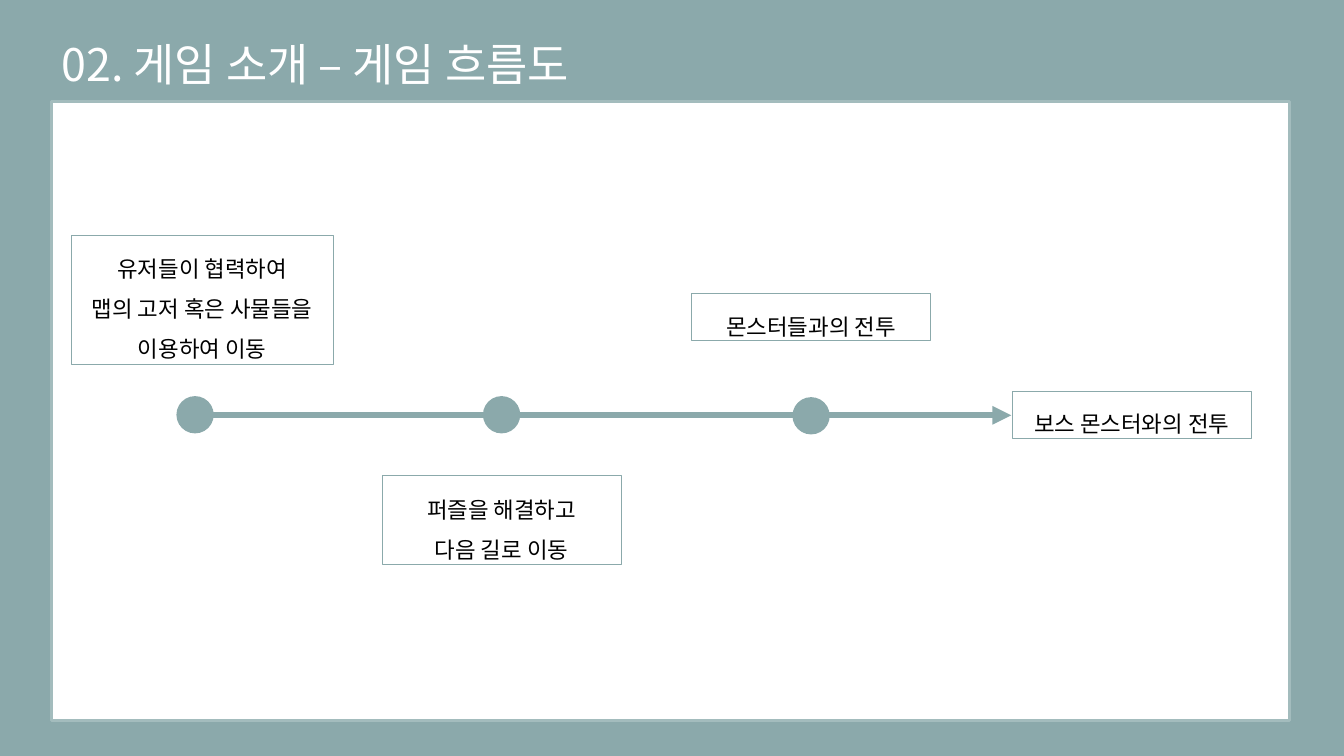
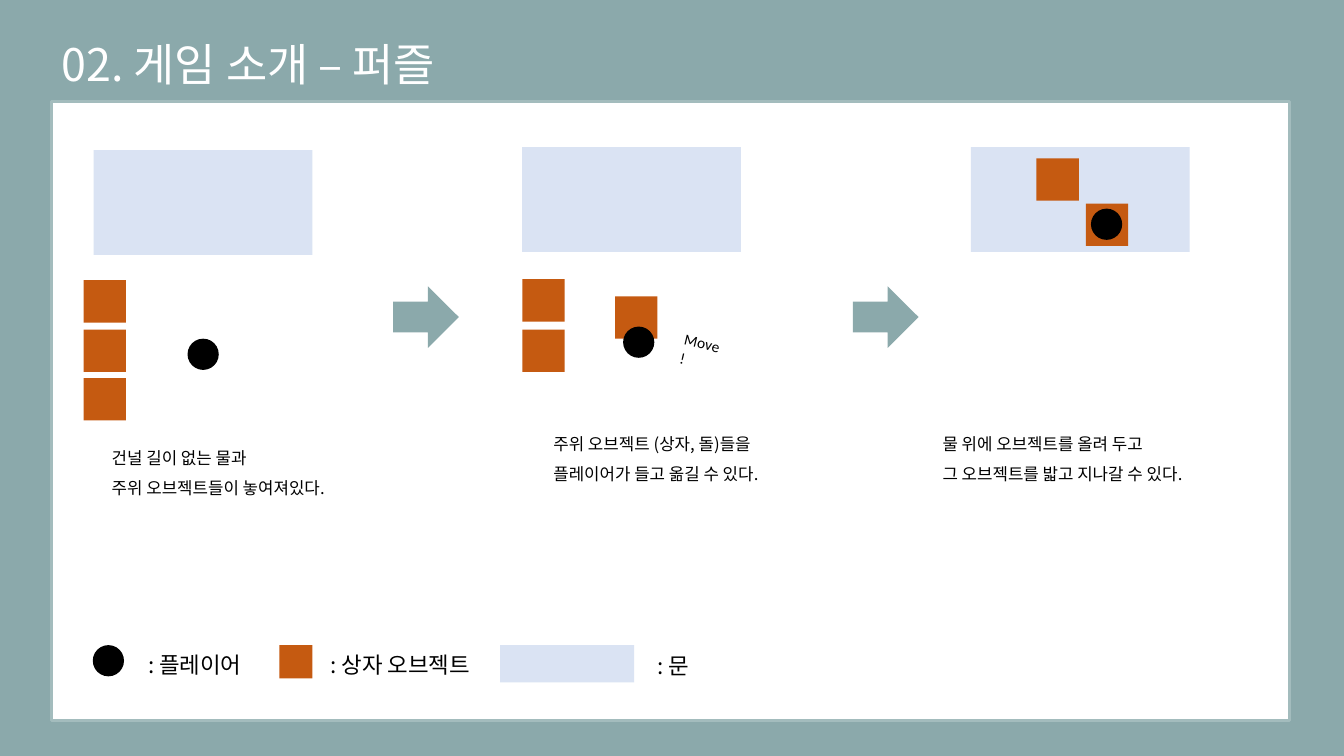
"""Build two game-introduction slides: the game flow and the puzzle."""
from typing import NamedTuple

from lxml.etree import SubElement
from pptx import Presentation
from pptx.dml.color import RGBColor
from pptx.enum.shapes import MSO_CONNECTOR as CONN, MSO_SHAPE as SHAPE
from pptx.enum.text import MSO_ANCHOR as ANCHOR, MSO_AUTO_SIZE as FIT, PP_ALIGN as ALIGN
from pptx.oxml.ns import qn
from pptx.util import Inches, Pt

TEAL, PANEL_EDGE, WHITE, BLACK = "8BA9AB", "A3BCBD", "FFFFFF", "000000"
WATER, CRATE = "DAE3F3", "C55A11"
FONT = "Noto Sans CJK KR"
SINGLE, LOOSE = 1.25, 1.8
CRATE_SIZE, PLAYER_SIZE, DOT_SIZE = 0.42, 0.31, 0.37
POOL_W, POOL_H = 2.17, 1.04
FLOW_Y = 4.12


class Step(NamedTuple):
    x: float
    y: float
    w: float
    h: float
    lines: tuple[str, ...]
    line_width: float = 0.75


class Scene(NamedTuple):
    pool: tuple[float, float]
    crates: tuple[tuple[float, float], ...]
    player: tuple[float, float]
    caption: tuple[float, float, float, float]
    lines: tuple[str, ...]


class Legend(NamedTuple):
    kind: SHAPE
    fill: str
    x: float
    w: float
    h: float
    label: str
    label_x: float
    label_y: float
    label_w: float


STEPS = (
    Step(0.71, 2.33, 2.59, 1.28,
         ("유저들이 협력하여", "맵의 고저 혹은 사물들을", "이용하여 이동"), 0.25),
    Step(6.86, 2.91, 2.37, 0.47, ("몬스터들과의 전투",)),
    Step(3.79, 4.72, 2.37, 0.88, ("퍼즐을 해결하고", "다음 길로 이동")),
    Step(10.04, 3.88, 2.37, 0.47, ("보스 몬스터와의 전투",)),
)
DOTS = ((1.75, 3.93), (4.79, 3.93), (7.86, 3.94))

SCENES = (
    Scene((0.93, 1.49), ((0.83, 2.78), (0.83, 3.27), (0.83, 3.75)), (1.86, 3.36),
          (1.01, 4.24, 2.76, 0.66),
          ("건널 길이 없는 물과", "주위 오브젝트들이 놓여져있다.")),
    Scene((5.18, 1.46), ((5.18, 2.77), (6.1, 2.94), (5.18, 3.27)), (6.18, 3.24),
          (5.39, 4.1, 2.66, 1.08),
          ("주위 오브젝트 (상자, 돌)들을", "플레이어가 들고 옮길 수 있다.")),
    Scene((9.63, 1.46), ((10.28, 1.57), (10.77, 2.02)), (10.82, 2.07),
          (9.25, 4.1, 3.17, 0.82),
          ("물 위에 오브젝트를 올려 두고", "그 오브젝트를 밟고 지나갈 수 있다.")),
)
ARROWS_X = (3.9, 8.46)
LEGENDS = (
    Legend(SHAPE.OVAL, BLACK, 0.92, PLAYER_SIZE, PLAYER_SIZE, ": 플레이어", 1.37, 6.35, 1.33),
    Legend(SHAPE.RECTANGLE, CRATE, 2.77, 0.33, 0.33, ": 상자 오브젝트", 3.18, 6.35, 1.81),
    Legend(SHAPE.RECTANGLE, WATER, 4.96, 1.33, 0.37, ": 문", 6.42, 6.36, 2.69),
)


def rgb(value: str) -> RGBColor:
    return RGBColor.from_string(value)


def write(sp, lines, *, size=16, color=BLACK, font=FONT, align=ALIGN.LEFT,
          anchor=ANCHOR.TOP, spacing=SINGLE, insets=(0.1, 0.1, 0.1, 0.1)) -> None:
    tf = sp.text_frame
    tf.word_wrap, tf.auto_size, tf.vertical_anchor = True, FIT.NONE, anchor
    tf.margin_left, tf.margin_top, tf.margin_right, tf.margin_bottom = map(Inches, insets)
    for i, line in enumerate(lines):
        p = tf.add_paragraph() if i else tf.paragraphs[0]
        p.alignment, p.line_spacing = align, Pt(size * spacing)
        r = p.add_run()
        r.text = line
        r.font.size, r.font.name, r.font.color.rgb = Pt(size), font, rgb(color)
        SubElement(r.font._element, qn("a:ea")).set("typeface", font)


def add_text(s, x: float, y: float, w: float, h: float, lines, **fmt):
    sp = s.shapes.add_textbox(Inches(x), Inches(y), Inches(w), Inches(h))
    write(sp, lines, **fmt)
    return sp


def add_shape(s, kind: SHAPE, x: float, y: float, w: float, h: float,
              fill: str | None = None, line: str | None = None, line_width: float = 0.75):
    sp = s.shapes.add_shape(kind, Inches(x), Inches(y), Inches(w), Inches(h))
    sp.shadow.inherit = False
    if fill:
        sp.fill.solid()
        sp.fill.fore_color.rgb = rgb(fill)
    else:
        sp.fill.background()
    if line:
        sp.line.color.rgb, sp.line.width = rgb(line), Pt(line_width)
    else:
        sp.line.fill.background()
    return sp


def add_flow_arrow(s, x1: float, x2: float, y: float) -> None:
    cn = s.shapes.add_connector(CONN.STRAIGHT, Inches(x1), Inches(y), Inches(x2), Inches(y))
    cn.line.color.rgb, cn.line.width = rgb(TEAL), Pt(4.5)
    SubElement(cn.line._get_or_add_ln(), qn("a:tailEnd")).set("type", "triangle")
    SubElement(cn._element.spPr, qn("a:effectLst"))


def add_slide(prs, title: str):
    s = prs.slides.add_slide(prs.slide_layouts[6])
    s.background.fill.solid()
    s.background.fill.fore_color.rgb = rgb(TEAL)
    add_shape(s, SHAPE.RECTANGLE, 0.51, 1.01, 12.28, 6.14, WHITE, PANEL_EDGE, 2.25)
    add_text(s, 0.51, 0.29, 7.32, 0.64, [title], size=32, color=WHITE,
             insets=(0.1, 0.05, 0.1, 0.05))
    return s


def build_flow(prs) -> None:
    s = add_slide(prs, "02. 게임 소개 – 게임 흐름도")
    add_flow_arrow(s, 1.94, 10.03, FLOW_Y)
    for x, y in DOTS:
        add_shape(s, SHAPE.OVAL, x, y, DOT_SIZE, DOT_SIZE, TEAL)
    for step in STEPS:
        sp = add_shape(s, SHAPE.RECTANGLE, step.x, step.y, step.w, step.h,
                       line=TEAL, line_width=step.line_width)
        write(sp, step.lines, align=ALIGN.CENTER, anchor=ANCHOR.MIDDLE,
              spacing=LOOSE, insets=(0.1, 0.05, 0.1, 0))


def build_puzzle(prs) -> None:
    s = add_slide(prs, "02. 게임 소개 – 퍼즐")
    for scene in SCENES:
        add_shape(s, SHAPE.RECTANGLE, *scene.pool, POOL_W, POOL_H, WATER)
        for crate in scene.crates:
            add_shape(s, SHAPE.RECTANGLE, *crate, CRATE_SIZE, CRATE_SIZE, CRATE)
        add_shape(s, SHAPE.OVAL, *scene.player, PLAYER_SIZE, PLAYER_SIZE, BLACK)
        add_text(s, *scene.caption, scene.lines, size=12, spacing=LOOSE)
    for x in ARROWS_X:
        add_shape(s, SHAPE.RIGHT_ARROW, x, 2.84, 0.65, 0.61, TEAL)
    move = add_text(s, 6.69, 3.26, 0.59, 0.29, ["Move!"], size=11, font="Calibri",
                    insets=(0.1, 0.05, 0.1, 0.05))
    move.rotation = 13.5
    for item in LEGENDS:
        add_shape(s, item.kind, item.x, 6.4, item.w, item.h, item.fill)
        add_text(s, item.label_x, item.label_y, item.label_w, 0.49, [item.label])


def main() -> None:
    prs = Presentation()
    prs.slide_width, prs.slide_height = Inches(13.33), Inches(7.5)
    build_flow(prs)
    build_puzzle(prs)
    prs.save("out.pptx")


if __name__ == "__main__":
    main()
